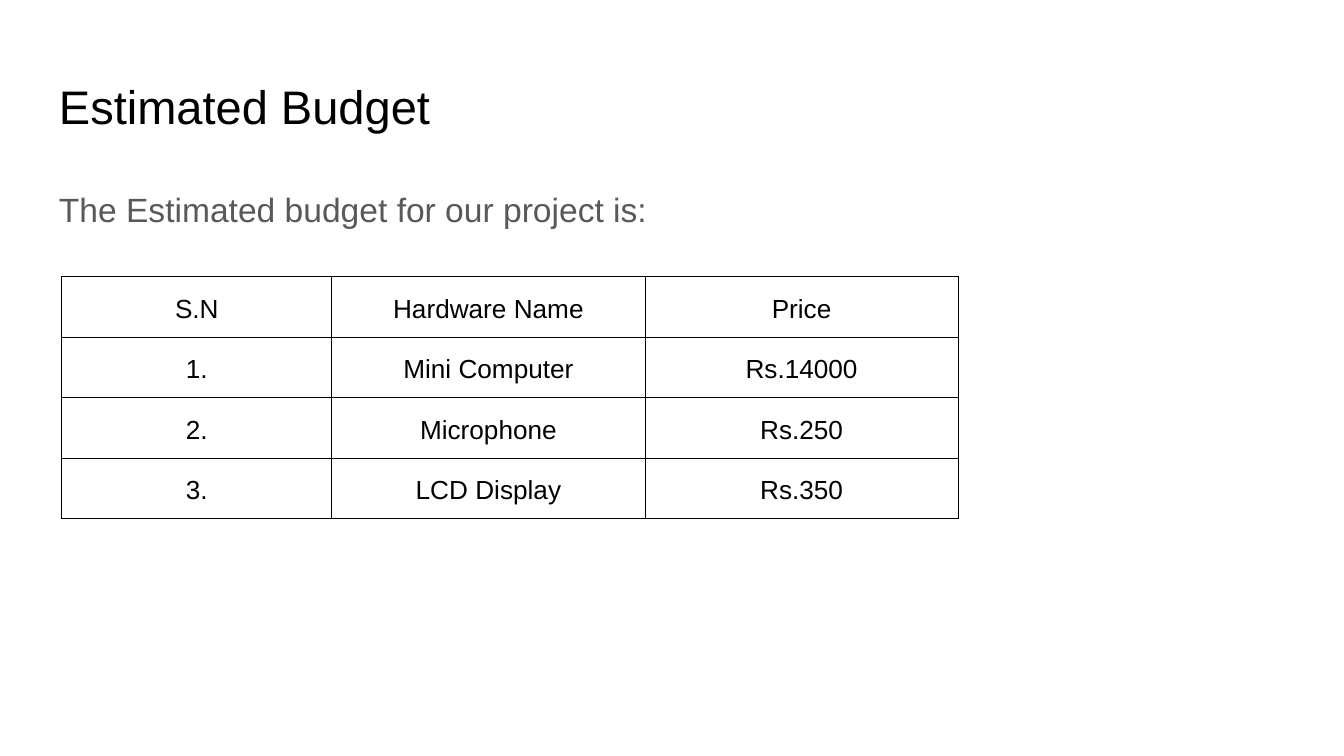
from pptx import Presentation
from pptx.dml.color import RGBColor as RGB
from pptx.enum.text import MSO_ANCHOR as Anchor, PP_ALIGN as Align
from pptx.oxml import parse_xml
from pptx.oxml.ns import nsdecls
from pptx.util import Inches, Pt

COLORS = {"ink": "000000", "gray": "595959", "back": "FFFFFF"}


class Deck:
    font = "Arial"
    pad = Inches(0.1)
    side = Inches(0.07)
    foot = Inches(0.08)
    rule = Pt(0.6)

    def __init__(self, prs):
        self.slide = prs.slides.add_slide(prs.slide_layouts[6])
        fill = self.slide.background.fill
        fill.solid()
        fill.fore_color.rgb = RGB.from_string(COLORS["back"])

    def run(self, para, text, size, color):
        run = para.add_run()
        run.text = text
        run.font.name = self.font
        run.font.size = Pt(size)
        run.font.color.rgb = RGB.from_string(COLORS[color])

    def text(self, box, text, size, color, line=1.0, after=0):
        frame = self.slide.shapes.add_textbox(*map(Inches, box)).text_frame
        frame.word_wrap = True
        frame.margin_left = frame.margin_right = self.pad
        frame.margin_top = frame.margin_bottom = self.pad
        para = frame.paragraphs[0]
        para.line_spacing = line
        para.space_after = Pt(after)
        self.run(para, text, size, color)

    def edge(self, cell):
        props = cell._tc.get_or_add_tcPr()
        for at, tag in enumerate(("lnL", "lnR", "lnT", "lnB")):
            props.insert(at, parse_xml(
                f'<a:{tag} {nsdecls("a")} w="{self.rule}"><a:solidFill>'
                f'<a:srgbClr val="{COLORS["ink"]}"/></a:solidFill></a:{tag}>'))

    def cell(self, cell, text):
        cell.fill.background()
        cell.vertical_anchor = Anchor.TOP
        cell.margin_left = cell.margin_right = self.side
        cell.margin_top, cell.margin_bottom = self.pad, self.foot
        para = cell.text_frame.paragraphs[0]
        para.alignment = Align.CENTER
        para.line_spacing = 1.15
        para.space_before = Pt(12)
        self.run(para, text, 14, "ink")
        self.edge(cell)

    def table(self, left, top, widths, height, rows):
        table = self.slide.shapes.add_table(
            len(rows), len(widths), Inches(left), Inches(top),
            Inches(sum(widths)), Inches(height * len(rows))).table
        table.first_row = table.horz_banding = False
        for col, width in zip(table.columns, widths):
            col.width = Inches(width)
        for row, texts in zip(table.rows, rows):
            row.height = Inches(height)
            for cell, text in zip(row.cells, texts):
                self.cell(cell, text)


def main():
    # Widescreen page, 16 to 9
    prs = Presentation()
    prs.slide_width = Inches(10)
    prs.slide_height = Inches(10) * 9 // 16
    deck = Deck(prs)

    # Title and lead line
    deck.text((0.34, 0.48, 9.32, 0.63), "Estimated Budget", 25.2, "ink")
    deck.text((0.34, 1.26, 9.32, 3.74),
              "The Estimated budget for our project is:", 18, "gray", 1.15, 12)

    # Budget table
    deck.table(0.46, 2.06, (2.01, 2.33, 2.33), 0.45, (
        ("S.N", "Hardware Name", "Price"),
        ("1.", "Mini Computer", "Rs.14000"),
        ("2.", "Microphone", "Rs.250"),
        ("3.", "LCD Display", "Rs.350"),
    ))

    prs.save("out.pptx")


if __name__ == "__main__":
    main()
